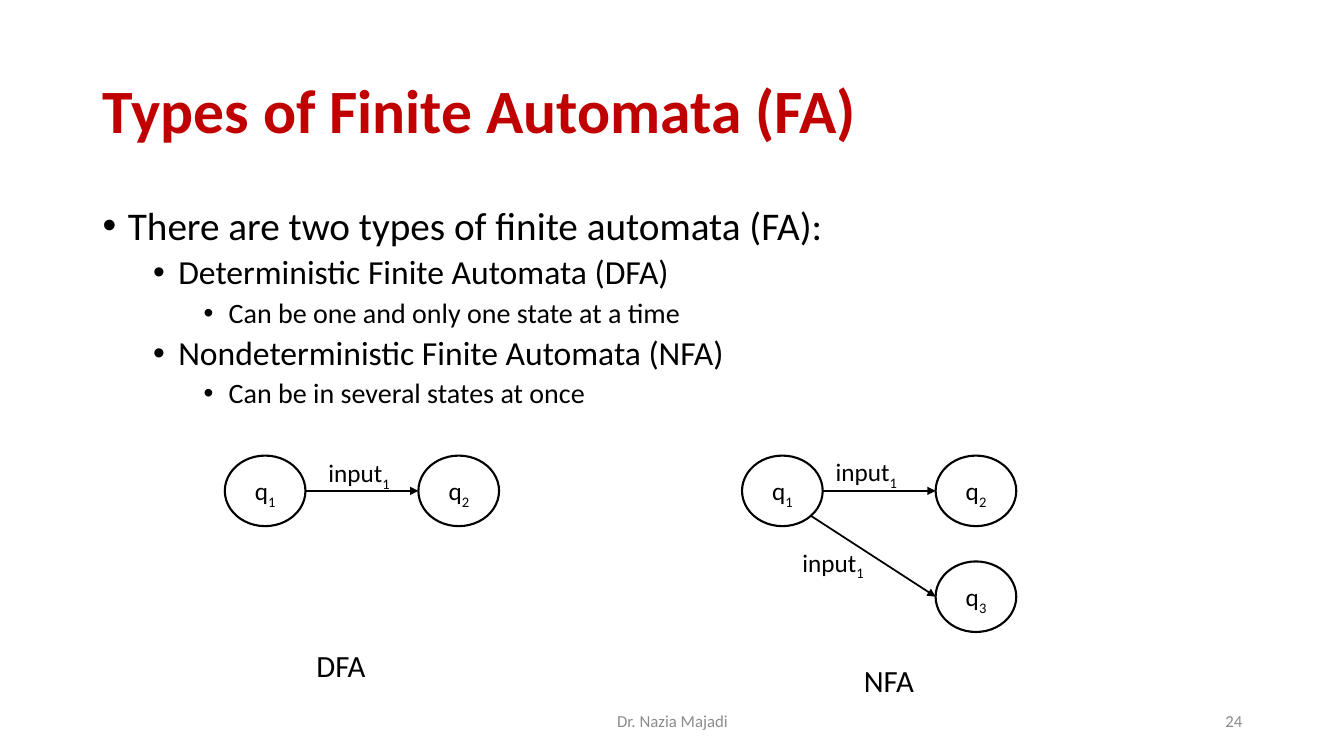
from math import sqrt
from pptx import Presentation
from pptx import util as u
from pptx.dml.color import RGBColor
from pptx.enum import shapes, text
from pptx.oxml.ns import qn
from lxml import etree

WIDE, HIGH = 13.33, 7.5
SIDE = 0.92
TOP = 4.52
COL, ROW = 1.92, 1.05
NODE_W, NODE_H = 0.8, 0.7
INK, RED, GREY = "000000", "C00000", "8C8C8C"
POINTS = [
    (0, "There are two types of finite automata (FA):"),
    (1, "Deterministic Finite Automata (DFA)"),
    (2, "Can be one and only one state at a time"),
    (1, "Nondeterministic Finite Automata (NFA)"),
    (2, "Can be in several states at once"),
]


def paint(target, color):
    target.rgb = RGBColor.from_string(color)


def style(par, size, color=INK, bold=False):
    par.font.name = "Calibri"
    par.font.size = u.Pt(size)
    par.font.bold = bold
    paint(par.font.color, color)


def box(slide, x, y, w, h):
    shape = slide.shapes.add_textbox(*map(u.Inches, (x, y, w, h)))
    shape.text_frame.word_wrap = True
    return shape.text_frame


def label(slide, x, y, w, words, size=18, sub=""):
    par = box(slide, x, y, w, 0.4).paragraphs[0]
    par.add_run().text = words
    if sub:
        run = par.add_run()
        run.text = sub
        run.font._element.set("baseline", "-25000")
    style(par, size)


def footer(slide, x, w, words, align):
    frame = box(slide, x, 6.95, w, 0.4)
    frame.vertical_anchor = text.MSO_ANCHOR.MIDDLE
    par = frame.paragraphs[0]
    par.text = words
    par.alignment = align
    style(par, 12, GREY)


def title(slide, words):
    shape = slide.shapes.title
    shape.left, shape.top, shape.width, shape.height = map(
        u.Inches, (SIDE, 0.4, WIDE - 2 * SIDE, 1.45))
    frame = shape.text_frame
    frame.auto_size = text.MSO_AUTO_SIZE.NONE
    frame.vertical_anchor = text.MSO_ANCHOR.MIDDLE
    par = frame.paragraphs[0]
    par.text = words
    par.alignment = text.PP_ALIGN.LEFT
    par.line_spacing = 0.9
    style(par, 44, RED, True)


def outline(slide):
    frame = box(slide, SIDE, 2, WIDE - 2 * SIDE, 2.37)
    for i, (level, words) in enumerate(POINTS):
        par = frame.paragraphs[0] if i == 0 else frame.add_paragraph()
        par.text = words
        par.level = level
        par.line_spacing = 0.9
        par.space_before = u.Pt(5 if i else 0)
        props = par._p.get_or_add_pPr()
        props.set("marL", str(u.Inches(0.25 + 0.5 * level)))
        props.set("indent", str(u.Inches(-0.25)))
        etree.SubElement(props, qn("a:buFont")).set("typeface", "Arial")
        etree.SubElement(props, qn("a:buChar")).set("char", "•")
        style(par, 28 - 4 * level)


def state(slide, left, col, row, sub):
    x, y = left + col * COL, TOP + row * ROW
    oval = slide.shapes.add_shape(
        shapes.MSO_SHAPE.OVAL, *map(u.Inches, (x, y, NODE_W, NODE_H)))
    oval.shadow.inherit = False
    oval.fill.background()
    paint(oval.line.color, INK)
    oval.line.width = u.Pt(1.5)
    label(slide, x + 0.2, y + 0.15, 0.42, "q", sub=sub)


def arrow(slide, *ends):
    link = slide.shapes.add_connector(
        shapes.MSO_CONNECTOR.STRAIGHT, *map(u.Inches, ends))
    paint(link.line.color, INK)
    link.line.width = u.Pt(1.25)
    etree.SubElement(link.line._get_or_add_ln(), qn("a:tailEnd")).set("type", "triangle")
    etree.SubElement(link._element.spPr, qn("a:effectLst"))


def pair(slide, left):
    mid = TOP + NODE_H / 2
    state(slide, left, 0, 0, "1")
    state(slide, left, 1, 0, "2")
    arrow(slide, left + NODE_W, mid, left + COL, mid)


def branch(slide, left):
    state(slide, left, 1, 1, "3")
    lean = (1 + sqrt(0.5)) / 2
    arrow(slide, left + NODE_W * lean, TOP + NODE_H * lean,
          left + COL, TOP + ROW + NODE_H / 2)


def main():
    deck = Presentation()
    deck.slide_width, deck.slide_height = u.Inches(WIDE), u.Inches(HIGH)
    slide = deck.slides.add_slide(deck.slide_layouts[5])
    title(slide, "Types of Finite Automata (FA)")
    outline(slide)
    dfa, nfa = 2.23, 7.36
    pair(slide, dfa)
    pair(slide, nfa)
    branch(slide, nfa)
    for x, y in ((3.16, 4.49), (8.19, 4.48), (7.86, 5.38)):
        label(slide, x, y, 0.9, "input", sub="1")
    label(slide, 3.04, 6.37, 0.9, "DFA", 22)
    label(slide, 8.47, 6.52, 0.9, "NFA", 22)
    footer(slide, 4.42, 4.5, "Dr. Nazia Majadi", text.PP_ALIGN.CENTER)
    footer(slide, 9.42, 3, "24", text.PP_ALIGN.RIGHT)
    deck.save("out.pptx")


if __name__ == "__main__":
    main()
